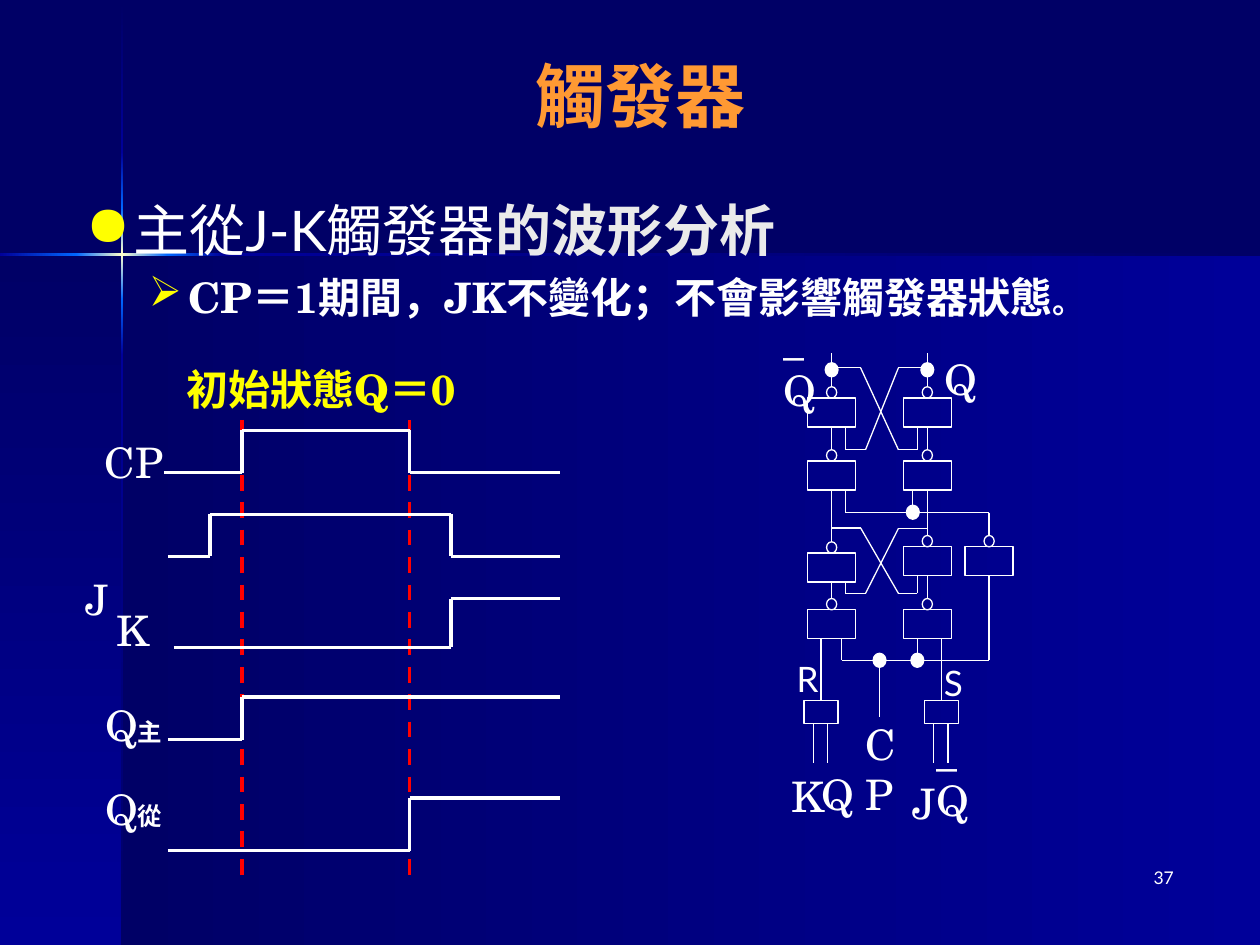
from itertools import pairwise

from lxml.etree import SubElement
from pptx import Presentation
from pptx.dml.color import RGBColor
from pptx.enum.dml import MSO_LINE
from pptx.enum.shapes import MSO_CONNECTOR, MSO_SHAPE
from pptx.enum.text import MSO_ANCHOR, PP_ALIGN
from pptx.oxml.ns import qn
from pptx.util import Pt

WHITE = RGBColor(255, 255, 255)
PALE = RGBColor(0xEA, 0xEA, 0xEA)
YELLOW = RGBColor(255, 255, 0)
ORANGE = RGBColor(255, 0x99, 0x33)
RED = RGBColor(255, 0, 0)
NAVY = RGBColor(0, 0, 0x66)
BLUE = RGBColor(0, 0, 0x99)
BRIGHT = RGBColor(0, 0x66, 255)
GLOW = RGBColor(255, 255, 0xCC)
SANS, SERIF = "Lato", "TeX Gyre Schola"
LEFT, CENTER, RIGHT = PP_ALIGN.LEFT, PP_ALIGN.CENTER, PP_ALIGN.RIGHT

ACROSS, DOWN = 0, 270
PANELS = [
    (69.8, 145.4, 650.2, 394.6, NAVY, BLUE, ACROSS),
    (0, 145.4, 69.8, 394.6, NAVY, BLUE, DOWN),
]
BEAM = 1.4
VERTICAL_BEAM = [(0.7, NAVY), (87, BLUE), (119, BRIGHT), (145, GLOW), (171, BRIGHT), (203, BLUE), (540, NAVY)]
HORIZONTAL_BEAM = [(0, BLUE), (43.5, BRIGHT), (69.6, GLOW), (95.8, BRIGHT), (127.4, BLUE), (720, NAVY)]

MAIN = {"name": SERIF, "size": Pt(24), "color": WHITE, "bold": False}
BOLD = MAIN | {"bold": True}
SMALL = BOLD | {"size": Pt(14)}
PIN = MAIN | {"name": SANS, "size": Pt(20)}
HEADING = MAIN | {"name": SANS, "size": Pt(32)}

TITLE = [[("觸發器", HEADING | {"size": Pt(40), "color": ORANGE, "bold": True})]]
BODY = [
    [("主從J-K觸發器", HEADING), ("的波形分析", BOLD | {"size": Pt(32), "color": PALE})],
    [("CP＝1期間，JK不變化；不會影響觸發器狀態", BOLD), ("。", BOLD | {"size": Pt(18)})],
]
BULLETS = [("●", 27, -27), ("➢", 58.5, -22.5)]
Q_BAR = [[("_", MAIN)], [("Q", MAIN)]]
LABELS = [
    (528, 491.8, 149.8, 36, RIGHT, True, [[("37", MAIN | {"name": SANS, "size": Pt(10)})]]),
    (84, 204, 198.7, 36, CENTER, True, [[("初始狀態Q＝0", BOLD | {"color": YELLOW})]]),
    (48, 246, 57, 36, CENTER, True, [[("CP", MAIN)]]),
    (41.5, 324, 44.6, 36, LEFT, True, [[("J", MAIN)]]),
    (59.5, 342, 44.6, 36, LEFT, True, [[("K", MAIN)]]),
    (51, 396, 51, 36, CENTER, True, [[("Q", MAIN), ("主", SMALL)]]),
    (51, 444, 51, 36, CENTER, True, [[("Q", MAIN), ("從", SMALL)]]),
    (440.6, 175.7, 16.6, 65.5, LEFT, True, Q_BAR),
    (532.8, 198.7, 32.4, 36, LEFT, False, [[("Q", MAIN)]]),
    (487.4, 406.8, 46.8, 36, LEFT, True, [[("CP", MAIN)]]),
    (448.6, 372.2, 13.7, 31.7, LEFT, True, [[("R", PIN)]]),
    (532.8, 374.4, 13.7, 31.7, LEFT, True, [[("S", PIN)]]),
    (445, 437, 31.7, 36.7, LEFT, False, [[("K", MAIN)]]),
    (462.2, 435.6, 32.4, 36.7, LEFT, False, [[("Q", MAIN)]]),
    (514.1, 440.6, 27.4, 36.7, LEFT, False, [[("J", MAIN)]]),
    (527.8, 410.4, 44.6, 65.5, LEFT, True, Q_BAR),
]

RISE, FALL = 138.2, 234
CLOCK_EDGES = [RISE, FALL]
WAVES = [
    (93.6, [RISE, FALL], 270, 246),
    (96, [120, 257.8], 318, 294),
    (99.4, [257.8], 370, 342),
    (96, [RISE], 422.6, 398.2),
    (96, [FALL], 486, 456),
]
WAVE_END = 320

BAR_Q, TRUE_Q, INVERTER = 475.2, 529.9, 565.2
GATE_W, GATE_H = 27.4, 16.6
BUBBLE_W, BUBBLE_H = 5.8, 6.5
GATES = [
    (BAR_Q, 227.5), (BAR_Q, 263.5), (BAR_Q, 316.1), (BAR_Q, 348.5),
    (TRUE_Q, 227.5), (TRUE_Q, 263.5), (TRUE_Q, 312.5), (TRUE_Q, 348.5),
    (INVERTER, 312.5),
]
INPUTS = [469.2, 538]
INPUT_W, INPUT_TOP, INPUT_H = 19.4, 400.3, 13
DOTS = [(BAR_Q, 211.3), (TRUE_Q, 211.3), (521.6, 292.7), (502.6, 377.3), (524.2, 377.3)]
WIRES = [
    [(BAR_Q, 221), (BAR_Q, 201.6)],
    [(TRUE_Q, 221), (TRUE_Q, 201.6)],
    [(BAR_Q, 210.2), (491.8, 210.2), (513.4, 257), (524.2, 257), (524.2, 244.1)],
    [(TRUE_Q, 210.2), (513.4, 210.2), (494.6, 257), (483.1, 257), (483.1, 244.1)],
    [(BAR_Q, 257), (BAR_Q, 244.1)],
    [(TRUE_Q, 257), (TRUE_Q, 244.1)],
    [(483.1, 280.1), (483.1, 293), (INVERTER, 293), (INVERTER, 306)],
    [(521.6, 280.1), (521.6, 293)],
    [(BAR_Q, 309.6), (BAR_Q, 280.1)],
    [(TRUE_Q, 306), (TRUE_Q, 280.1)],
    [(BAR_Q, 301.7), (491.8, 301.7), (513.4, 339.1), (524.2, 339.1), (524.2, 329.1)],
    [(TRUE_Q, 302), (513.4, 302), (494.6, 339.1), (483.1, 339.1), (483.1, 332.7)],
    [(BAR_Q, 342), (BAR_Q, 332.7)],
    [(TRUE_Q, 342), (TRUE_Q, 329.1)],
    [(481, 365.1), (481, 377.3), (INVERTER, 377.3), (INVERTER, 329.1)],
    [(524.2, 365.1), (524.2, 377.3)],
    [(502.6, 377.3), (502.6, 409.7)],
]
WIRES += [[(x, 365.1), (x, INPUT_TOP)] for x in INPUTS]
WIRES += [[(x + d, 413.3), (x + d, 436.3)] for x in INPUTS for d in (-4.4, 3.8)]

deck = Presentation()
deck.slide_width, deck.slide_height = Pt(720), Pt(540)
page = deck.slides.add_slide(deck.slide_layouts[6])
page.background.fill.solid()
page.background.fill.fore_color.rgb = NAVY
sites = []


def add_preset(kind, *frame):
    shape = page.shapes.add_shape(kind, *map(Pt, frame))
    shape.shadow.inherit = False
    return shape


def add_gradient(x, y, w, h, start, end, angle):
    shape = add_preset(MSO_SHAPE.RECTANGLE, x, y, w, h)
    shape.line.fill.background()
    shape.fill.gradient()
    shape.fill.gradient_angle = angle
    for stop, color in zip(shape.fill.gradient_stops, (start, end)):
        stop.color.rgb = color


def add_outline(kind, *frame, filled=False):
    shape = add_preset(kind, *frame)
    shape.line.color.rgb = WHITE
    shape.line.width = Pt(2.25 if filled else 0.75)
    if filled:
        shape.fill.solid()
        shape.fill.fore_color.rgb = WHITE
    else:
        shape.fill.background()
    return shape


def add_block(x, y, w, h):
    block = add_outline(MSO_SHAPE.RECTANGLE, x - w / 2, y, w, h)
    sites.extend([(x, y, block, 0), (x, y + h, block, 2)])


def site_at(point):
    for x, y, block, side in sites:
        if abs(x - point[0]) < 0.2 and abs(y - point[1]) < 0.2:
            return block, side


def add_path(points, width, color=WHITE, dash=None):
    for start, end in pairwise(points):
        line = page.shapes.add_connector(MSO_CONNECTOR.STRAIGHT, *map(Pt, start + end))
        line.line.color.rgb = color
        line.line.width = Pt(width)
        if dash:
            line.line.dash_style = dash
        SubElement(line._element.spPr, qn("a:effectLst"))
        for join, point in ((line.begin_connect, start), (line.end_connect, end)):
            if site := site_at(point):
                join(*site)


def add_text(x, y, w, h, align, wrap, lines, bullets=(), anchor=MSO_ANCHOR.TOP):
    frame = page.shapes.add_textbox(*map(Pt, (x, y, w, h))).text_frame
    frame.word_wrap = wrap
    frame.vertical_anchor = anchor
    for number, spans in enumerate(lines):
        para = frame.add_paragraph() if number else frame.paragraphs[0]
        para.alignment = align
        if bullets:
            mark, margin, indent = bullets[number]
            if number:
                para.space_before = Pt(5)
            props = para._p.get_or_add_pPr()
            props.set("marL", str(Pt(margin)))
            props.set("indent", str(Pt(indent)))
            tint = SubElement(props, qn("a:buClr"))
            SubElement(tint, qn("a:srgbClr"), val=str(YELLOW))
            SubElement(props, qn("a:buChar"), char=mark)
        for words, style in spans:
            span = para.add_run()
            span.text = words
            for key, value in style.items():
                if key == "color":
                    span.font.color.rgb = value
                else:
                    setattr(span.font, key, value)


for panel in PANELS:
    add_gradient(*panel)
for (top, start), (bottom, end) in pairwise(VERTICAL_BEAM):
    add_gradient(69.1, top, BEAM, bottom - top, start, end, DOWN)
for (near, start), (far, end) in pairwise(HORIZONTAL_BEAM):
    add_gradient(near, 144.7, far - near, BEAM, start, end, ACROSS)

add_text(36, 24, 660, 60, CENTER, True, TITLE, anchor=MSO_ANCHOR.MIDDLE)
add_text(42, 108, 648, 372, LEFT, True, BODY, BULLETS)
for edge in CLOCK_EDGES:
    add_path([(edge, 240), (edge, 500)], 2.25, RED, MSO_LINE.DASH)
for start, edges, low, high in WAVES:
    points, level = [(start, low)], low
    for edge in edges:
        points.append((edge, level))
        level = high if level == low else low
        points.append((edge, level))
    add_path(points + [(WAVE_END, level)], 2.25)

for x, y in GATES:
    add_block(x, y, GATE_W, GATE_H)
    add_outline(MSO_SHAPE.OVAL, x - BUBBLE_W / 2, y - BUBBLE_H, BUBBLE_W, BUBBLE_H)
for x in INPUTS:
    add_block(x, INPUT_TOP, INPUT_W, INPUT_H)
for wire in WIRES:
    add_path(wire, 0.75)
for x, y in DOTS:
    add_outline(MSO_SHAPE.OVAL, x - BUBBLE_W / 2, y - BUBBLE_H / 2, BUBBLE_W, BUBBLE_H, filled=True)
for label in LABELS:
    add_text(*label)

deck.save("out.pptx")
